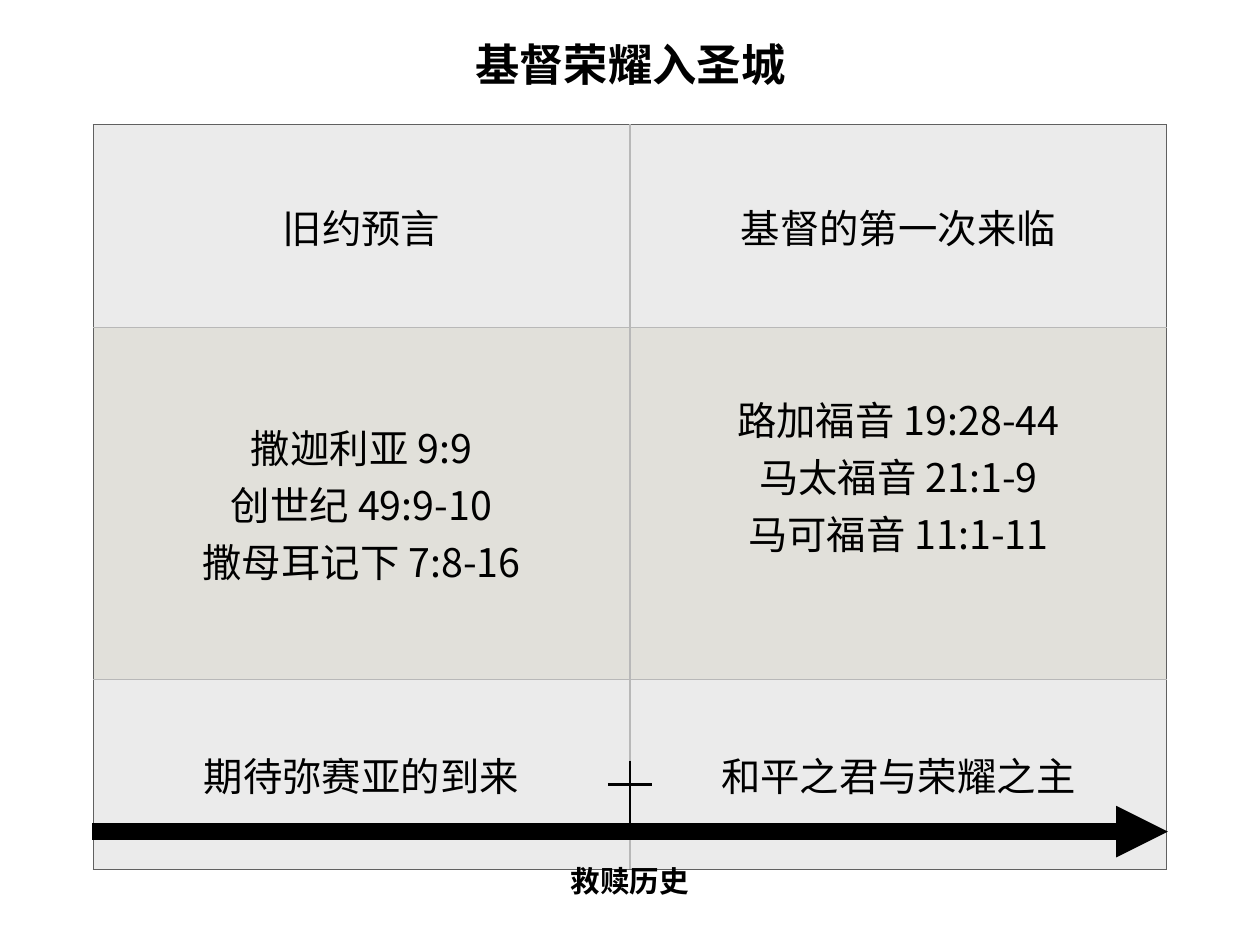
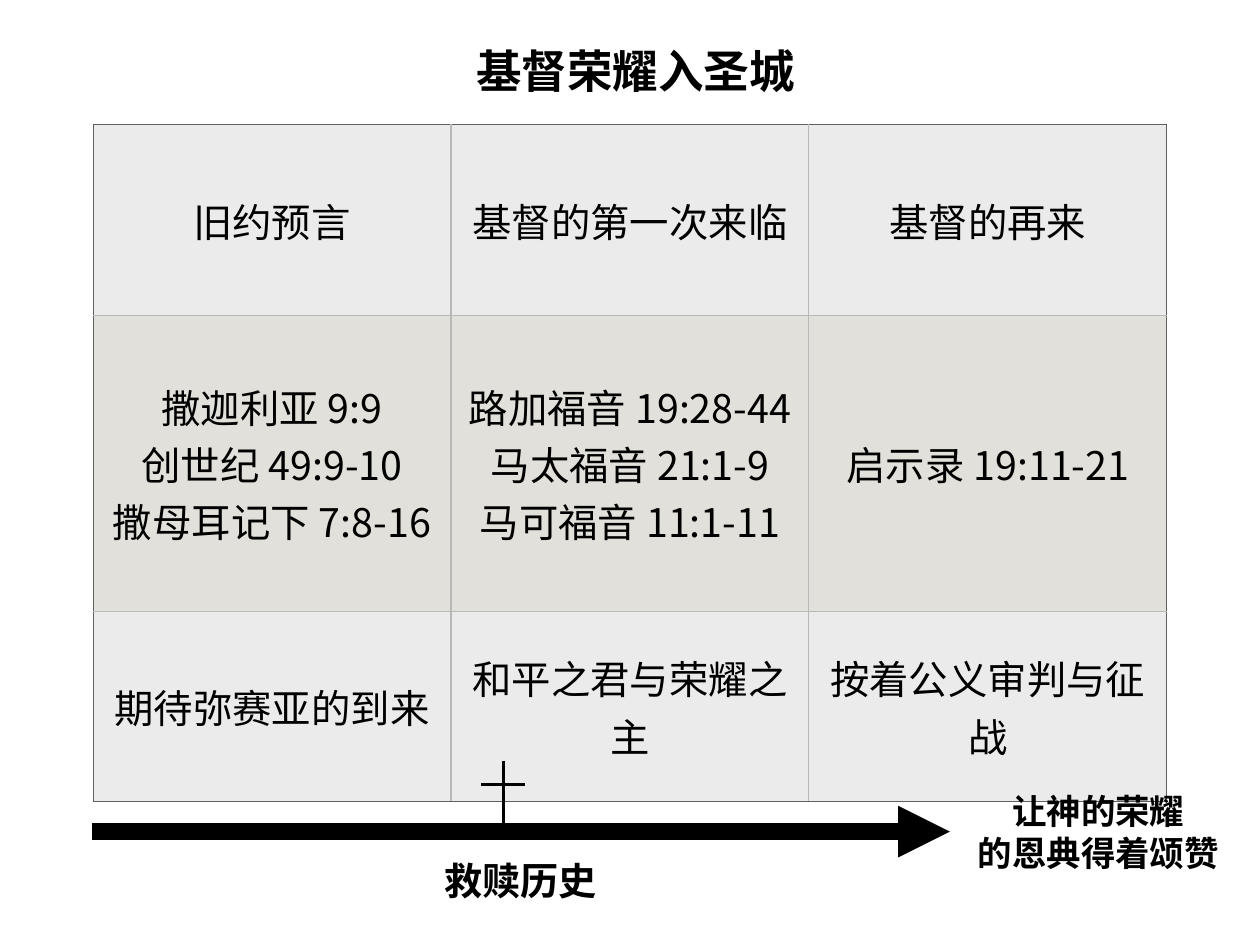
import lxml.etree
import pptx
import pptx.dml.color
import pptx.enum.shapes
import pptx.enum.text
import pptx.oxml.ns
import pptx.util

Inches = pptx.util.Inches
Pt = pptx.util.Pt
qn = pptx.oxml.ns.qn

COLORS = {
    "ink": "000000",
    "row": "EBEBEB",
    "row_alt": "E1E0DA",
    "edge": "606060",
    "grid": "B8B8B8",
}
CJK = "Noto Sans CJK SC"
LATIN = "Roboto"
INSET = 0.06
LEFT, TOP, WIDTH = 1.05, 1.41, 12.12
AXIS_Y = 9.39
TITLE = "基督荣耀入圣城"
AXIS_LABEL = "救赎历史"

PROPHECY = ["旧约预言", "撒迦利亚 9:9\n创世纪 49:9-10\n撒母耳记下 7:8-16", "期待弥赛亚的到来"]
FIRST_COMING = ["基督的第一次来临", "路加福音 19:28-44\n马太福音 21:1-9\n马可福音 11:1-11", "和平之君与荣耀之主"]
SECOND_COMING = ["基督的再来", "启示录 19:11-21", "按着公义审判与征战"]


def rgb(name):
    return pptx.dml.color.RGBColor.from_string(COLORS[name])


def write(tf, text, size=32, font=CJK, bold=False, color="ink"):
    for i, line in enumerate(text.split("\n")):
        p = tf.paragraphs[0] if i == 0 else tf.add_paragraph()
        p.alignment = pptx.enum.text.PP_ALIGN.CENTER
        r = p.add_run()
        r.text = line
        r.font.size = Pt(size)
        r.font.bold = bold
        r.font.name = font
        r.font.color.rgb = rgb(color)
        ea = lxml.etree.SubElement(r.font._element, qn("a:ea"))
        ea.set("typeface", font)


class Deck:
    def __init__(self):
        self.prs = pptx.Presentation()
        self.prs.slide_width = Inches(14.22)
        self.prs.slide_height = Inches(10.67)
        self.s = None

    def slide(self):
        self.s = self.prs.slides.add_slide(self.prs.slide_layouts[6])

    def text(self, x, y, w, h, text, wrap=True, **fmt):
        sp = self.s.shapes.add_textbox(Inches(x), Inches(y), Inches(w), Inches(h))
        tf = sp.text_frame
        tf.word_wrap = wrap
        tf.auto_size = pptx.enum.text.MSO_AUTO_SIZE.SHAPE_TO_FIT_TEXT
        tf.vertical_anchor = pptx.enum.text.MSO_ANCHOR.MIDDLE
        tf.margin_left = tf.margin_right = Inches(INSET)
        tf.margin_top = tf.margin_bottom = Inches(INSET)
        write(tf, text, bold=True, **fmt)

    def line(self, x1, y1, x2, y2, width, arrow=False):
        sp = self.s.shapes.add_connector(
            pptx.enum.shapes.MSO_CONNECTOR.STRAIGHT,
            Inches(x1), Inches(y1), Inches(x2), Inches(y2))
        sp.line.width = Pt(width)
        sp.line.color.rgb = rgb("ink")
        if arrow:
            tail = lxml.etree.SubElement(sp.line._get_or_add_ln(), qn("a:tailEnd"))
            tail.set("type", "triangle")
        lxml.etree.SubElement(sp._element.spPr, qn("a:effectLst"))

    def borders(self, cell, sides):
        tc_pr = cell._tc.get_or_add_tcPr()
        for i, (side, outer) in enumerate(sides.items()):
            ln = lxml.etree.Element(qn("a:ln" + side), w=str(Pt(1)))
            fill = lxml.etree.SubElement(ln, qn("a:solidFill"))
            color = lxml.etree.SubElement(fill, qn("a:srgbClr"))
            color.set("val", COLORS["edge" if outer else "grid"])
            tc_pr.insert(i, ln)

    def table(self, columns, heights):
        rows, cols = len(heights), len(columns)
        table = self.s.shapes.add_table(
            rows, cols, Inches(LEFT), Inches(TOP), Inches(WIDTH), Inches(sum(heights))).table
        table.first_row = table.horz_banding = False
        for row, height in zip(table.rows, heights):
            row.height = Inches(height)
        for c, texts in enumerate(columns):
            table.columns[c].width = Inches(WIDTH / cols)
            for r, text in enumerate(texts):
                cell = table.cell(r, c)
                cell.margin_left = cell.margin_right = Inches(INSET)
                cell.margin_top = cell.margin_bottom = Inches(INSET)
                cell.vertical_anchor = pptx.enum.text.MSO_ANCHOR.MIDDLE
                cell.fill.solid()
                cell.fill.fore_color.rgb = rgb("row_alt" if r % 2 else "row")
                self.borders(cell, {"L": c == 0, "R": c == cols - 1,
                                    "T": r == 0, "B": r == rows - 1})
                write(cell.text_frame, text)
        return table

    def timeline(self, end, cross_x):
        self.line(1.04, AXIS_Y, end, AXIS_Y, 14, arrow=True)
        self.line(cross_x - 0.25, 8.86, cross_x + 0.25, 8.86, 2)
        self.line(cross_x, 8.59, cross_x, AXIS_Y, 2)


deck = Deck()

deck.slide()
table = deck.table([PROPHECY, FIRST_COMING], [2.29, 3.97, 2.15])
table.cell(1, 1).margin_bottom = Inches(0.7)
deck.timeline(13.18, 7.11)
deck.text(6.38, 9.72, 1.46, 0.44, AXIS_LABEL, wrap=False, size=24, font=LATIN)
deck.text(5.18, 0.36, 3.87, 0.72, TITLE, size=36)

deck.slide()
deck.table([PROPHECY, FIRST_COMING, SECOND_COMING], [2.15, 3.34, 2.15])
deck.timeline(10.72, 5.68)
deck.text(4.7, 9.66, 2.35, 0.55, AXIS_LABEL, size=31, font=LATIN)
deck.text(5.29, 0.48, 3.77, 0.63, TITLE, size=37, font=LATIN)
deck.text(10.97, 8.85, 2.85, 1.08, "让神的荣耀\n的恩典得着颂赞", wrap=False, size=28, font=LATIN)

deck.prs.save("out.pptx")
